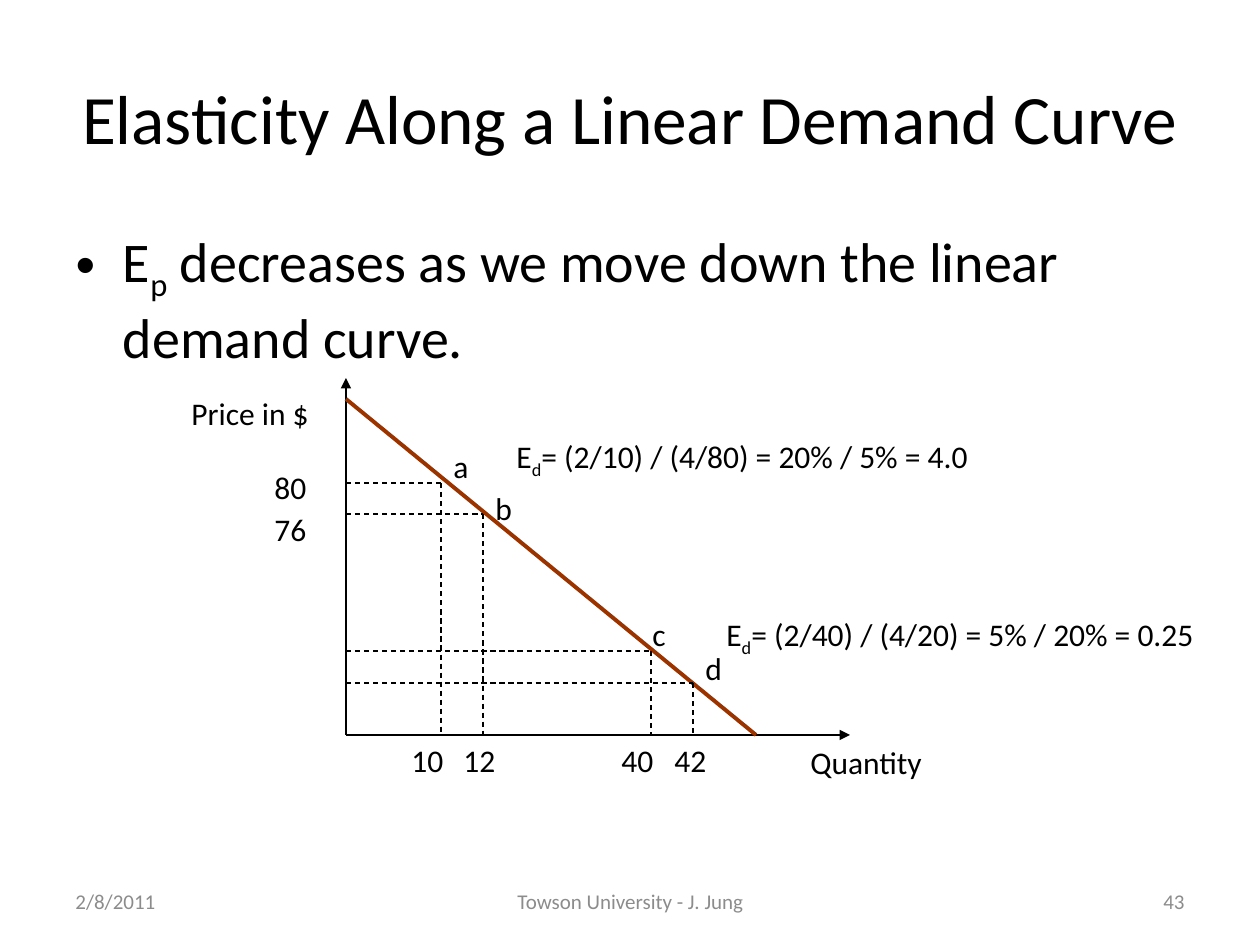
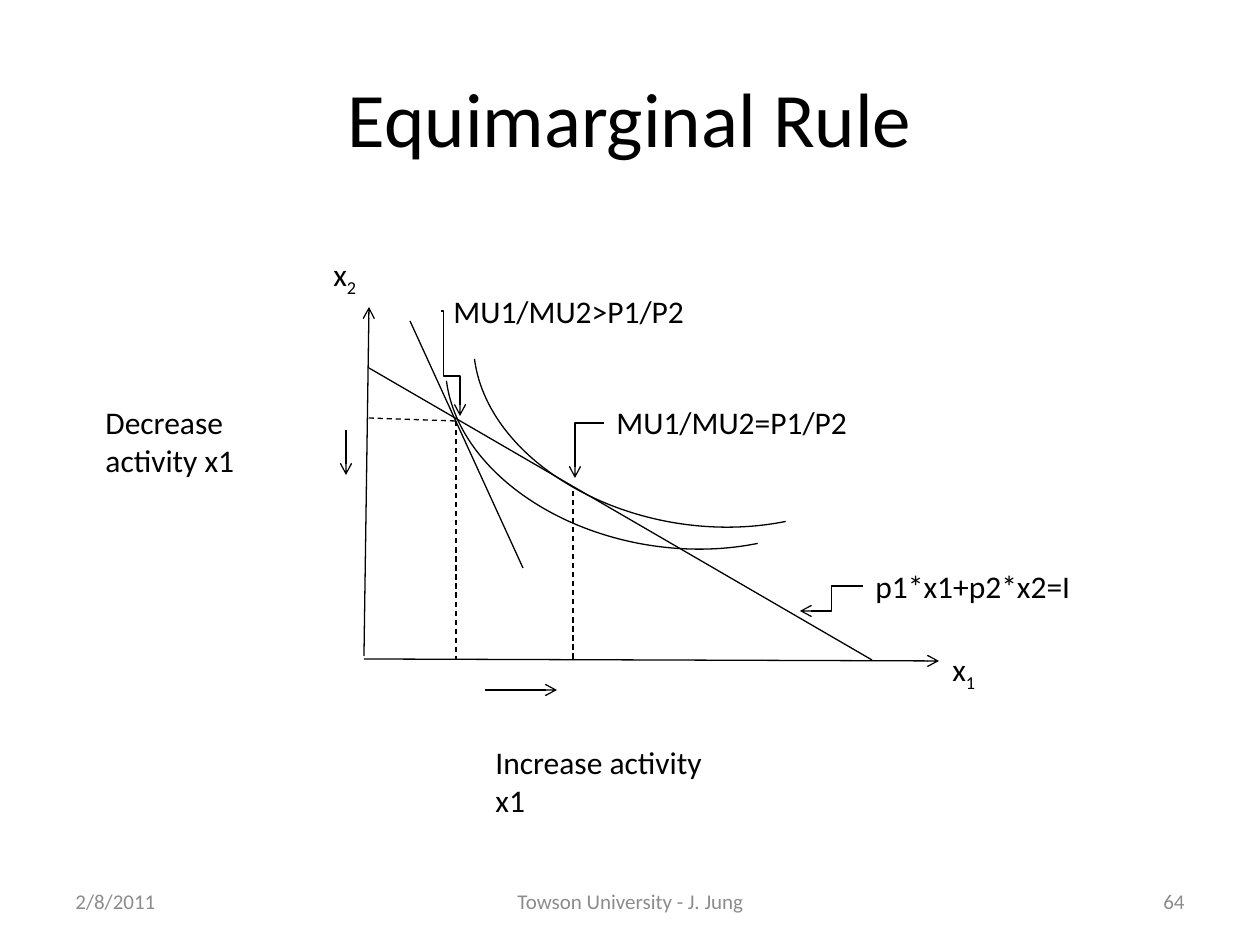
from dataclasses import dataclass
from typing import Any

from lxml.etree import SubElement
from pptx import Presentation
from pptx.dml.color import RGBColor
from pptx.enum.dml import MSO_LINE
from pptx.enum.shapes import MSO_CONNECTOR, MSO_SHAPE
from pptx.enum.text import MSO_ANCHOR, PP_ALIGN
from pptx.oxml.ns import qn
from pptx.util import Pt

BLACK = RGBColor(0x00, 0x00, 0x00)
GREY = RGBColor(0x8C, 0x8C, 0x8C)
RUST = RGBColor(0x99, 0x33, 0x00)
FONT = "Calibri"
LABEL_H = 50


def px(n):
    return round(n * 914400 / 126)


def place(shape, x, y, w, h):
    shape.left, shape.top, shape.width, shape.height = map(px, (x, y, w, h))


def write(tf, text, size=18, color=BLACK, align=PP_ALIGN.LEFT, anchor=MSO_ANCHOR.TOP):
    """Fill a text frame; parts between tildes are subscripts."""
    tf.word_wrap = True
    tf.vertical_anchor = anchor
    p = tf.paragraphs[0]
    p.alignment = align
    for i, part in enumerate(text.split("~")):
        r = p.add_run()
        r.text = part
        r.font.name, r.font.size = FONT, Pt(size)
        r.font.color.rgb = color
        if i % 2:
            r.font._element.set("baseline", "-25000")


@dataclass
class Figure:
    """A region of a slide whose parts are placed from its top left corner."""
    s: Any
    x: int
    y: int

    def label(self, text, x, y, w=84, h=LABEL_H, **fmt):
        tb = self.s.shapes.add_textbox(px(self.x + x), px(self.y + y), px(w), px(h))
        write(tb.text_frame, text, **fmt)

    def line(self, start, end, color=BLACK, width=0.75, dashed=False, head=None,
             kind=MSO_CONNECTOR.STRAIGHT):
        c = self.s.shapes.add_connector(
            kind, px(self.x + start[0]), px(self.y + start[1]),
            px(self.x + end[0]), px(self.y + end[1]))
        c.line.color.rgb, c.line.width = color, Pt(width)
        if dashed:
            c.line.dash_style = MSO_LINE.DASH
        sp_pr = c._element.spPr
        if head:
            SubElement(sp_pr.find(qn("a:ln")), qn("a:tailEnd"), type=head)
        SubElement(sp_pr, qn("a:effectLst"))
        return c

    def elbow(self, start, end, preset="bentConnector3", adjust=()):
        c = self.line(start, end, head="arrow", kind=MSO_CONNECTOR.ELBOW)
        geom = c._element.spPr.find(qn("a:prstGeom"))
        geom.set("prst", preset)
        for i, value in enumerate(adjust, 1):
            SubElement(geom.find(qn("a:avLst")), qn("a:gd"),
                       name=f"adj{i}", fmla=f"val {round(value * 100000)}")

    def indifference_curve(self, x, y):
        arc = self.s.shapes.add_shape(MSO_SHAPE.ARC, px(self.x + x), px(self.y + y),
                                      px(459), px(325))
        arc.shadow.inherit = False
        arc.adjustments[0], arc.adjustments[1] = 139.61, 210.92
        arc.rotation = 189.4
        arc.fill.background()
        arc.line.color.rgb, arc.line.width = BLACK, Pt(0.75)


def new_slide(prs, layout, title, number, title_size=44):
    s = prs.slides.add_slide(prs.slide_layouts[layout])
    place(s.shapes.title, 63, 38, 1134, 157)
    write(s.shapes.title.text_frame, title, size=title_size,
          align=PP_ALIGN.CENTER, anchor=MSO_ANCHOR.MIDDLE)
    footer = Figure(s, 63, 876)
    for text, x, w, align in (("2/8/2011", 0, 294, PP_ALIGN.LEFT),
                              ("Towson University - J. Jung", 368, 399, PP_ALIGN.CENTER),
                              (str(number), 840, 294, PP_ALIGN.RIGHT)):
        footer.label(text, x, 0, w, size=12, color=GREY, align=align,
                     anchor=MSO_ANCHOR.MIDDLE)
    return s


def demand_figure(s, x, y):
    fig = Figure(s, x, y)
    base = 357
    fig.line((0, base), (0, 0), head="triangle")
    fig.line((0, base), (504, base), head="triangle")
    fig.line((0, 21), (410, base), color=RUST, width=2.25)

    # name, point on the curve, name position, quantity, quantity label x
    points = (("a", (95, 105), (95, 63), "10", 53),
              ("b", (137, 136), (137, 105), "12", 105),
              ("c", (305, 273), (294, 231), "40", 263),
              ("d", (347, 305), (347, 265), "42", 316))
    for name, (qx, py), name_at, quantity, quantity_x in points:
        fig.line((0, py), (qx, py), dashed=True)
        fig.line((qx, py), (qx, base), dashed=True)
        fig.label(name, *name_at, 53)
        fig.label(quantity, quantity_x, base)

    fig.label("80", -84, 84)
    fig.label("76", -84, 126)
    fig.label("Price in $", -167, 10, 189)
    fig.label("Quantity", 452, 359, 460)
    fig.label("E~d~= (2/10) / (4/80) = 20% / 5% = 4.0", 158, 53, 598)
    fig.label("E~d~= (2/40) / (4/20) = 5% / 20% = 0.25", 368, 231, 540)


def equimarginal_figure(s, x, y):
    fig = Figure(s, x, y)
    fig.line((0, 349), (5, 0), head="arrow")
    fig.line((0, 352), (575, 354), head="arrow")
    fig.label("x~1~", 576, 337, 73)
    fig.label("x~2~", -43, -58, 73)

    fig.indifference_curve(108, -107)
    fig.indifference_curve(80, -85)
    budget = (5, 61), (508, 353)
    tangent = (46, 14), (159, 261)
    for start, end in (budget, tangent):
        fig.line(start, end)
    for start, end in (((92, 114), (92, 352)), ((209, 184), (209, 352)),
                       ((91, 114), (5, 111))):
        fig.line(start, end, dashed=True)

    fig.label("p1*x1+p2*x2=I", 499, 254, 282)
    fig.elbow((499, 279), (436, 304))
    fig.label("MU1/MU2=P1/P2", 240, 90, 309)
    fig.elbow((240, 116), (211, 171), "bentConnector2")
    fig.label("MU1/MU2>P1/P2", 77, -21, 309)
    fig.elbow((77, 4), (96, 109), "bentConnector4", (0.12, 0.62))

    fig.line((121, 383), (193, 383), head="arrow")
    fig.label("Increase activity x1", 119, 430, 233, 89)
    fig.line((-18, 123), (-18, 168), head="arrow")
    fig.label("Decrease activity x1", -271, 90, 233, 89)


def main():
    prs = Presentation()
    prs.slide_width, prs.slide_height = px(1260), px(945)

    s = new_slide(prs, 1, "Elasticity Along a Linear Demand Curve", 43, title_size=39.6)
    body = s.placeholders[1]
    place(body, 63, 220, 1134, 624)
    write(body.text_frame, "E~p~ decreases as we move down the linear demand curve.", size=32)
    demand_figure(s, 346, 378)

    s = new_slide(prs, 5, "Equimarginal Rule", 64)
    equimarginal_figure(s, 364, 307)

    prs.save("out.pptx")


if __name__ == "__main__":
    main()
